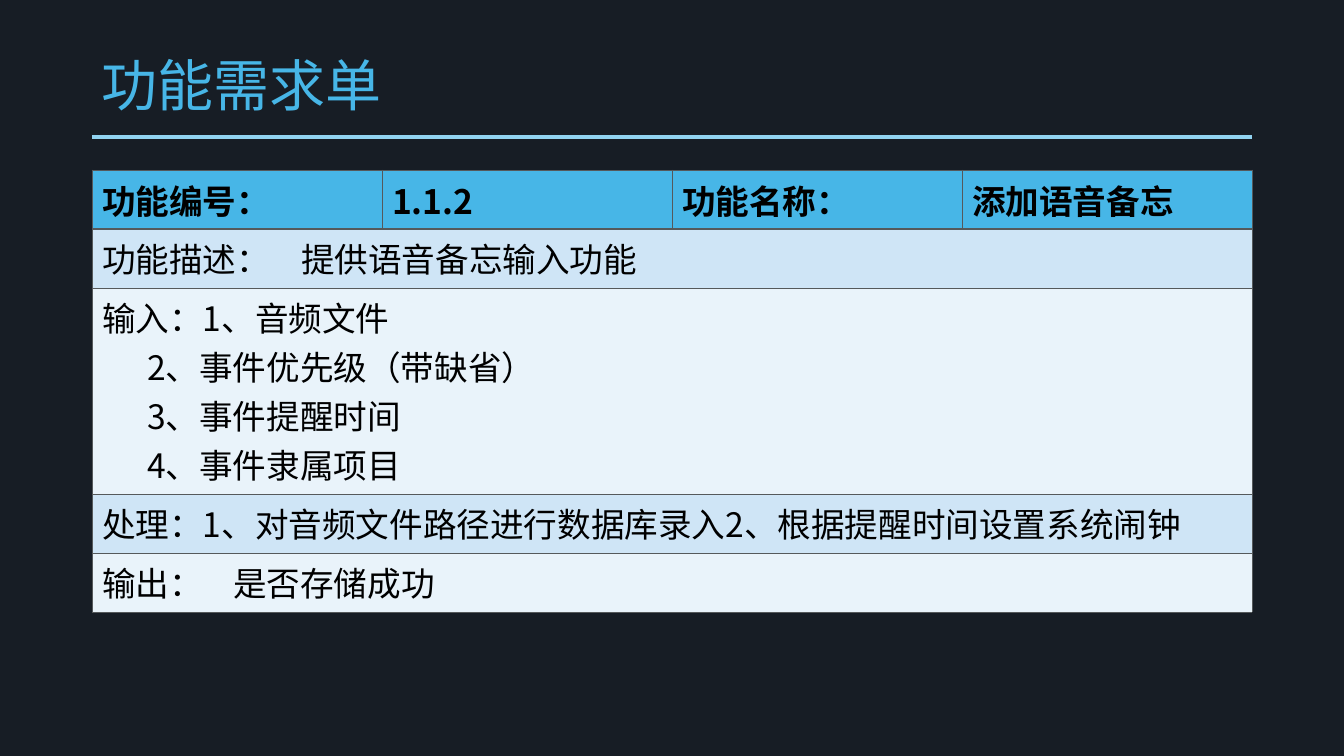
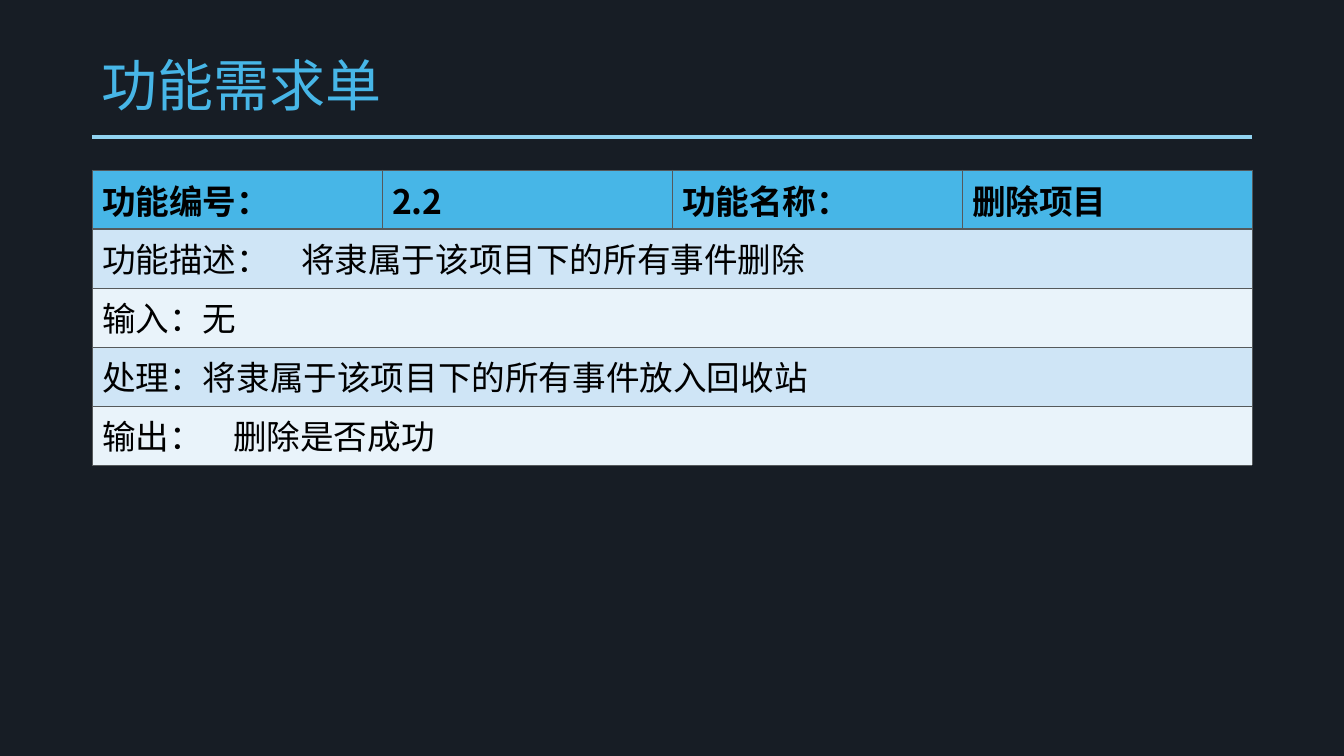
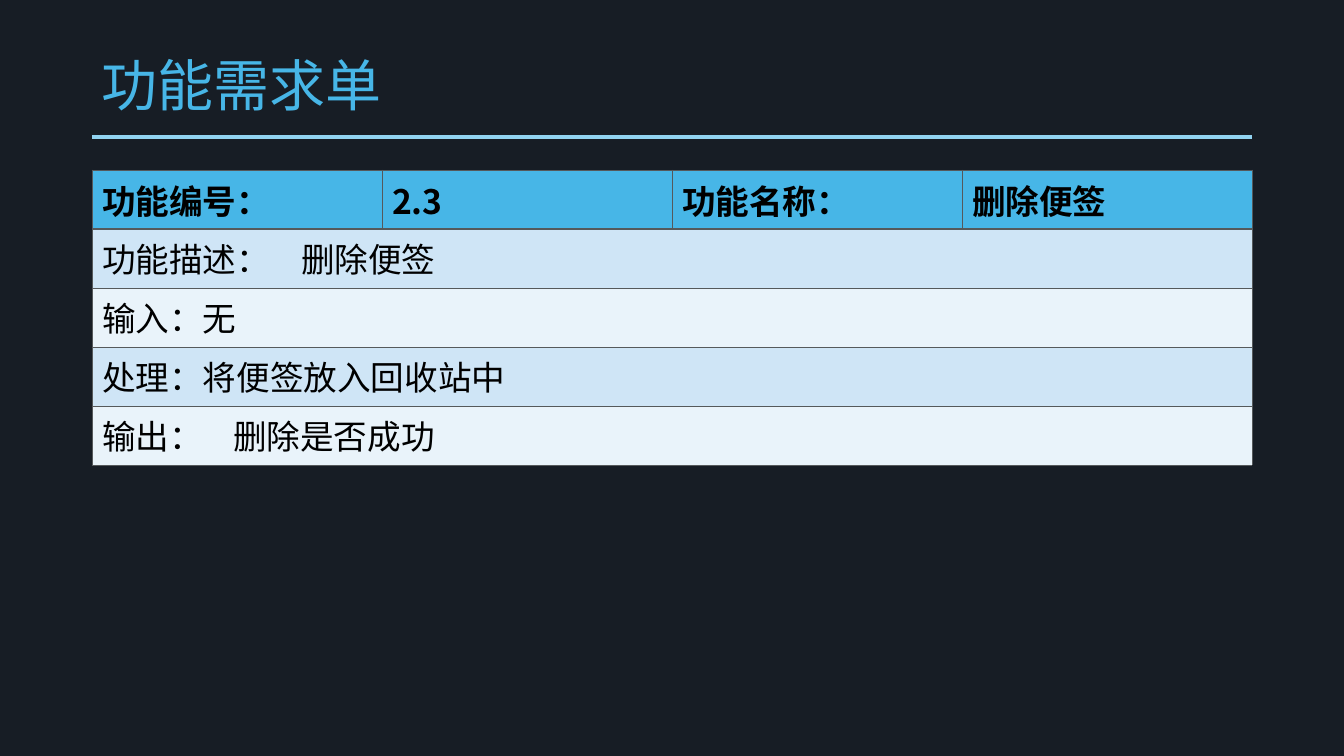
from lxml.etree import SubElement
from pptx import Presentation
from pptx.dml.color import RGBColor
from pptx.enum.shapes import MSO_CONNECTOR
from pptx.enum.text import MSO_ANCHOR
from pptx.oxml.ns import qn
from pptx.util import Pt

PX = 9072
WIDE, HIGH = 1344, 756
LEFT, SPAN = 92, 1160
ROW, LINE = 59, 49
COLS = 4
EM, GAP, INDENT = 34, 29, 45

DARK = RGBColor(0x17, 0x1D, 0x25)
BLUE = RGBColor(0x47, 0xB6, 0xE7)
SKY = RGBColor(0x91, 0xD3, 0xF1)
BAND = RGBColor(0xCF, 0xE5, 0xF6)
PALE = RGBColor(0xE9, 0xF3, 0xFA)
BLACK = RGBColor(0, 0, 0)
GREY = RGBColor(0x55, 0x59, 0x5B)
LATIN, HAN = "Arial", "Noto Sans CJK SC"
THIN, THICK = Pt(0.45), Pt(1.47)

SHEETS = [
    ("1.1.2", "添加语音备忘", [
        "功能描述：\t提供语音备忘输入功能",
        "输入：1、音频文件\n2、事件优先级（带缺省）\n3、事件提醒时间\n4、事件隶属项目",
        "处理：1、对音频文件路径进行数据库录入2、根据提醒时间设置系统闹钟",
        "输出：\t是否存储成功",
    ]),
    ("2.2", "删除项目", [
        "功能描述：\t将隶属于该项目下的所有事件删除",
        "输入：无",
        "处理：将隶属于该项目下的所有事件放入回收站",
        "输出：\t删除是否成功",
    ]),
    ("2.3", "删除便签", [
        "功能描述：\t删除便签",
        "输入：无",
        "处理：将便签放入回收站中",
        "输出：\t删除是否成功",
    ]),
]


def px(*sizes):
    """Turn pixel lengths into EMU."""
    return [size * PX for size in sizes]


def style(para, size, color, name, bold=False):
    """Set the font of a paragraph, with its East Asian face."""
    font = para.font
    font.size, font.bold, font.name = Pt(size), bold, name
    font.color.rgb = color
    face = para._p.pPr.find(qn("a:defRPr"))
    SubElement(face, qn("a:ea"), typeface=HAN)


def add_stop(para, pos):
    """Add a left tab stop to a paragraph."""
    stops = SubElement(para._p.get_or_add_pPr(), qn("a:tabLst"))
    SubElement(stops, qn("a:tab"), pos=str(pos * PX), algn="l")


def add_title(slide, text):
    """Add the title and the rule below it."""
    box = slide.shapes.add_textbox(*px(LEFT, 40, SPAN, 96))
    frame = box.text_frame
    frame.word_wrap = True
    frame.vertical_anchor = MSO_ANCHOR.MIDDLE
    frame.text = text
    para = frame.paragraphs[0]
    para.line_spacing = 0.9
    style(para, 40, BLUE, LATIN)
    rule = slide.shapes.add_connector(
        MSO_CONNECTOR.STRAIGHT, *px(LEFT, 137, LEFT + SPAN, 137))
    rule.line.color.rgb = SKY
    rule.line.width = Pt(3.5)
    SubElement(rule._element.spPr, qn("a:effectLst"))


def set_edges(cell, top, bottom):
    """Draw the four borders of a cell."""
    props = cell._tc.get_or_add_tcPr()
    for side, width in zip("LRTB", (THIN, THIN, top, bottom)):
        edge = SubElement(props, qn(f"a:ln{side}"), w=str(width))
        fill = SubElement(edge, qn("a:solidFill"))
        SubElement(fill, qn("a:srgbClr"), val=str(GREY))


def fill_cell(cell, text, color, bold=False):
    """Write a cell, with hanging lines and tab stops where needed."""
    cell.fill.solid()
    cell.fill.fore_color.rgb = color
    cell.text_frame.text = text
    for num, para in enumerate(cell.text_frame.paragraphs):
        if num:
            para._p.get_or_add_pPr().set("marL", str(INDENT * PX))
        if "\t" in para.text:
            add_stop(para, para.text.index("\t") * EM + GAP)
        style(para, 24, BLACK, HAN, bold)


def add_sheet(slide, code, name, lines):
    """Add the table of one function."""
    highs = [ROW] + [ROW + LINE * line.count("\n") for line in lines]
    table = slide.shapes.add_table(
        len(highs), COLS, *px(LEFT, 170, SPAN, sum(highs))).table
    table.first_row = table.horz_banding = False
    for row, high in enumerate(highs):
        table.rows[row].height = high * PX
        for cell in table.rows[row].cells:
            set_edges(cell, THICK if row == 1 else THIN,
                      THICK if row == 0 else THIN)
    heads = ("功能编号：", code, "功能名称：", name)
    for col, head in enumerate(heads):
        fill_cell(table.cell(0, col), head, BLUE, True)
    for row, line in enumerate(lines, 1):
        cell = table.cell(row, 0)
        cell.merge(table.cell(row, COLS - 1))
        fill_cell(cell, line, BAND if row % 2 else PALE)


def main():
    """Build and save the slides."""
    deck = Presentation()
    deck.slide_width, deck.slide_height = px(WIDE, HIGH)
    back = deck.slide_master.background.fill
    back.solid()
    back.fore_color.rgb = DARK
    for code, name, lines in SHEETS:
        slide = deck.slides.add_slide(deck.slide_layouts[6])
        add_title(slide, "功能需求单")
        add_sheet(slide, code, name, lines)
    deck.save("out.pptx")


if __name__ == "__main__":
    main()
